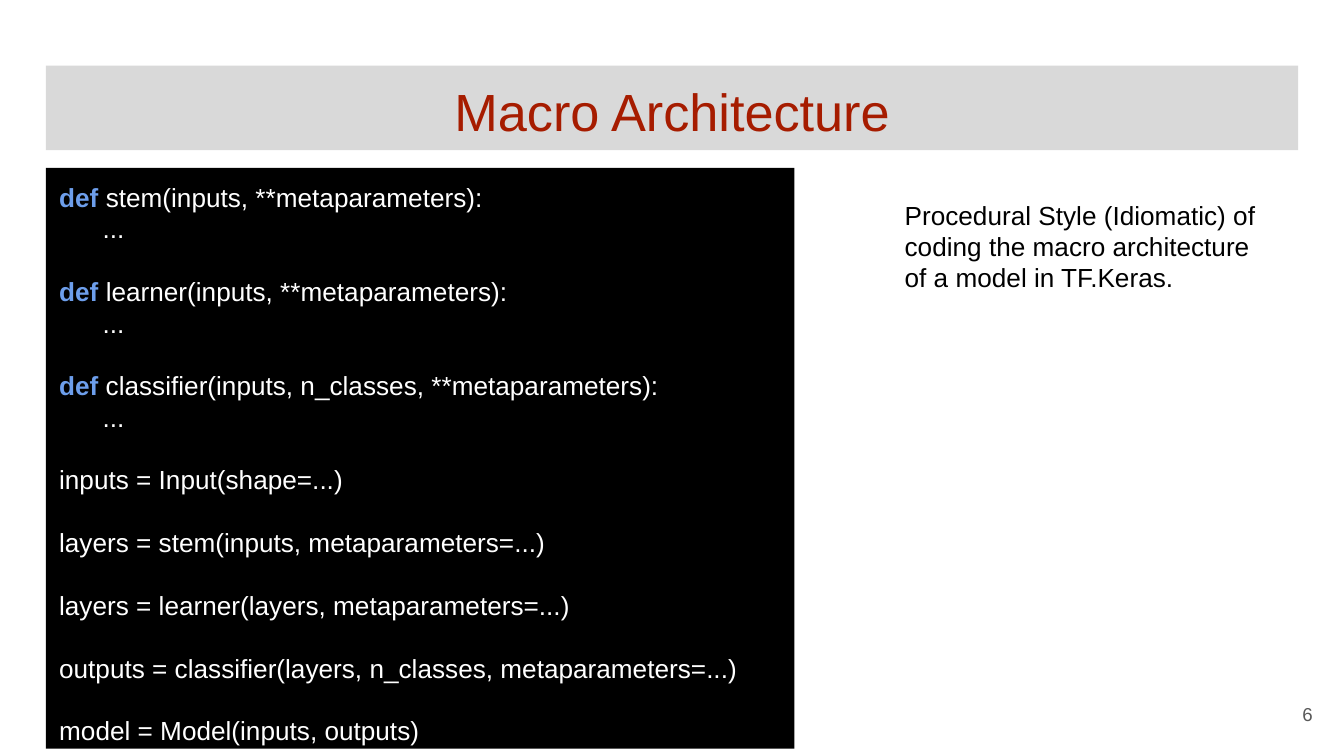
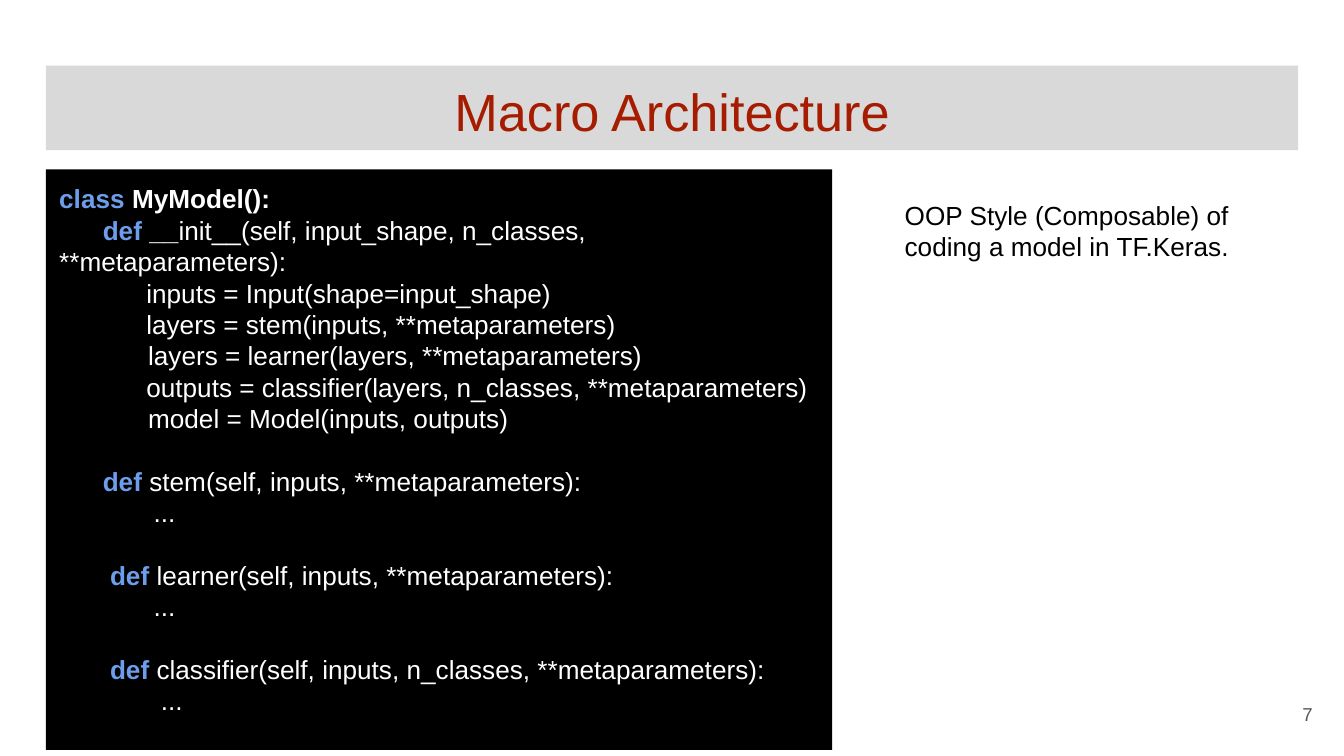
"""Two slides on macro architecture: procedural and object-oriented code."""
from pptx import Presentation
from pptx import util as u
from pptx.dml.color import RGBColor
from pptx.enum import shapes, text

GREY = RGBColor(0xD9, 0xD9, 0xD9)
RED = RGBColor(0xA6, 0x1C, 0x00)
BLACK = RGBColor(0, 0, 0)
WHITE = RGBColor(0xFF, 0xFF, 0xFF)
BLUE = RGBColor(0x6D, 0x9E, 0xEB)
DIM = RGBColor(0x59, 0x59, 0x59)

deck = Presentation()
deck.slide_width = u.Inches(10)
deck.slide_height = deck.slide_width * 9 // 16
col = deck.slide_width / 100
row = deck.slide_height / 100
LEFT = 3.42
SIZE = 14
PITCH = 1.2
SPACE = u.Inches(0.054)


def box(slide, left, top, wide, high, fill=None):
    spot = [round(n) for n in (left * col, top * row, wide * col, high * row)]
    if fill is None:
        item = slide.shapes.add_textbox(*spot)
    else:
        item = slide.shapes.add_shape(shapes.MSO_SHAPE.RECTANGLE, *spot)
        item.shadow.inherit = False
        item.fill.solid()
        item.fill.fore_color.rgb = fill
        item.line.fill.background()
    frame = item.text_frame
    frame.word_wrap = True
    frame.vertical_anchor = text.MSO_ANCHOR.TOP
    frame.margin_left = frame.margin_right = u.Inches(0.1)
    frame.margin_top = frame.margin_bottom = u.Inches(0.1)
    return frame


def style(para, size, tint, align=text.PP_ALIGN.LEFT):
    para.font.name = "Arial"
    para.font.size = u.Pt(size)
    para.font.color.rgb = tint
    para.line_spacing = u.Pt(size * PITCH)
    para.alignment = align


steps = [
    (0, 0, "def ", "", "stem(inputs, **metaparameters):"),
    (0, 6, "", "", "..."),
    (1, 0, "def ", "", "learner(inputs, **metaparameters):"),
    (0, 6, "", "", "..."),
    (1, 0, "def", "", " classifier(inputs, n_classes, **metaparameters):"),
    (0, 6, "", "", "..."),
    (1, 0, "", "", "inputs = Input(shape=...)"),
    (1, 0, "", "", "layers = stem(inputs, metaparameters=...)"),
    (1, 0, "", "", "layers = learner(layers, metaparameters=...)"),
    (1, 0, "", "", "outputs = classifier(layers, n_classes, metaparameters=...)"),
    (1, 0, "", "", "model = Model(inputs, outputs)"),
]
model = [
    (0, 0, "class ", "MyModel():", ""),
    (0, 6, "def ", "__", "init__(self, input_shape, n_classes, **metaparameters):"),
    (0, 12, "", "", "inputs = Input(shape=input_shape)"),
    (0, 12, "", "", "layers = stem(inputs, **metaparameters)"),
    (0, 12.25, "", "", "layers = learner(layers, **metaparameters)"),
    (0, 12, "", "", "outputs = classifier(layers, n_classes, **metaparameters)"),
    (0, 12.25, "", "", "model = Model(inputs, outputs)"),
    (1, 6, "def ", "", "stem(self, inputs, **metaparameters):"),
    (0, 13, "", "", "..."),
    (1, 7, "def ", "", "learner(self, inputs, **metaparameters):"),
    (0, 13, "", "", "..."),
    (1, 7, "def", "", " classifier(self, inputs, n_classes, **metaparameters):"),
    (0, 14, "", "", "..."),
]
pages = [
    (6, 22.22, 55.7, steps, "Procedural Style (Idiomatic) of coding the macro "
     "architecture of a model in TF.Keras."),
    (7, 22.4, 58.5, model, "OOP Style (Composable) of coding a model in TF.Keras."),
]

for num, top, wide, code, note in pages:
    slide = deck.slides.add_slide(deck.slide_layouts[6])

    title = box(slide, LEFT, 8.67, 100 - 2 * LEFT, 11.2, GREY).paragraphs[0]
    title.text = "Macro Architecture"
    style(title, 28, RED, text.PP_ALIGN.CENTER)

    frame = box(slide, LEFT, top, wide, 76.8, BLACK)
    for i, (gap, indent, key, bold, rest) in enumerate(code):
        para = frame.add_paragraph() if i else frame.paragraphs[0]
        style(para, SIZE, WHITE)
        para.space_before = u.Pt(gap * SIZE * PITCH)
        para._p.get_or_add_pPr().set("indent", str(round(indent * SPACE)))
        for part, tint, heavy in (
            (key, BLUE, True), (bold, WHITE, True), (rest, WHITE, False)
        ):
            if part:
                run = para.add_run()
                run.text = part
                run.font.bold = heavy
                run.font.color.rgb = tint

    para = box(slide, 66.33, 24.53, 28.4, 70.22).paragraphs[0]
    para.text = note
    style(para, SIZE, BLACK)

    frame = box(slide, 92.65, 90.67, 6, 7.64)
    frame.vertical_anchor = text.MSO_ANCHOR.MIDDLE
    frame.paragraphs[0].text = str(num)
    style(frame.paragraphs[0], 10, DIM, text.PP_ALIGN.RIGHT)

deck.save("out.pptx")
